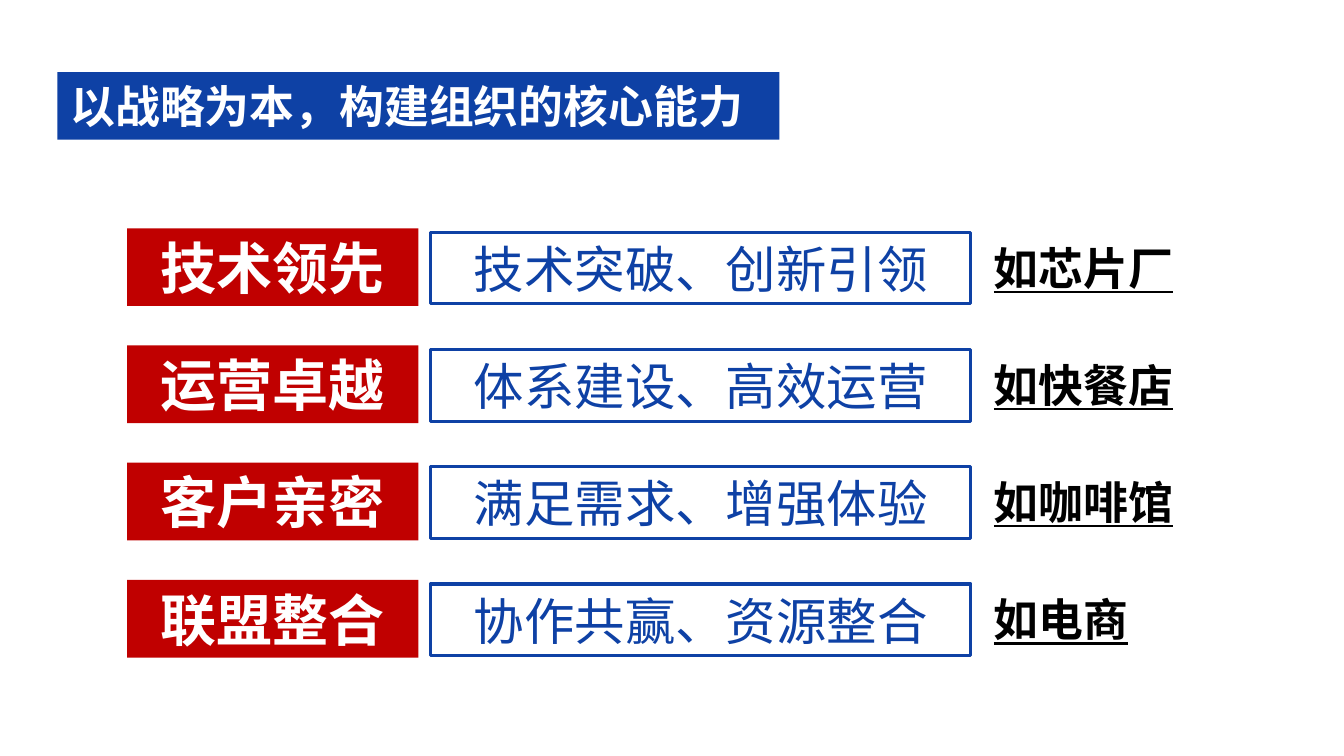
"""Build a slide on four strategic ways to core organisational strength."""
from pptx import Presentation
from pptx.dml.color import RGBColor
from pptx.enum.shapes import MSO_SHAPE
from pptx.enum.text import MSO_ANCHOR, PP_ALIGN
from pptx.util import Inches, Pt

TITLE = "以战略为本，构建组织的核心能力"
ROWS = [
    ("技术领先", "技术突破、创新引领", "如芯片厂"),
    ("运营卓越", "体系建设、高效运营", "如快餐店"),
    ("客户亲密", "满足需求、增强体验", "如咖啡馆"),
    ("联盟整合", "协作共赢、资源整合", "如电商"),
]
HUES = {"blue": "0E41A5", "red": "C00000", "white": "FFFFFF", "black": "000000"}
FONT = "Noto Sans CJK SC"
MID, STEP = 2.65, 1.163
COLS = [
    dict(left=1.26, width=2.89, high=0.77, size=40, hue="white", fill="red", bold=True),
    dict(left=4.27, width=5.36, high=0.71, size=36, hue="blue", line="blue", drop=0.01),
    dict(left=9.76, width=2.28, high=0.64, size=32, hue="black", bold=True,
         under=True, align=PP_ALIGN.LEFT),
]


def tint(name):
    return RGBColor.from_string(HUES[name])


def add_box(slide, text, left, mid, width, high, size, hue, fill=None, line=None,
            bold=False, under=False, align=PP_ALIGN.CENTER, drop=0, pad=0.1, wrap=True):
    place = [Inches(n) for n in (left, mid + drop - high / 2, width, high)]
    if fill or line:
        box = slide.shapes.add_shape(MSO_SHAPE.RECTANGLE, *place)
        box.shadow.inherit = False
        if fill:
            box.fill.solid()
            box.fill.fore_color.rgb = tint(fill)
        else:
            box.fill.background()
        if line:
            box.line.color.rgb = tint(line)
            box.line.width = Pt(2.25)
        else:
            box.line.fill.background()
    else:
        box = slide.shapes.add_textbox(*place)
    frame = box.text_frame
    frame.word_wrap = wrap
    frame.vertical_anchor = MSO_ANCHOR.MIDDLE
    frame.margin_left = frame.margin_right = Inches(pad)
    par = frame.paragraphs[0]
    par.text = text
    par.alignment = align
    font = par.font
    font.name, font.size, font.bold = FONT, Pt(size), bold
    font.color.rgb = tint(hue)
    font.underline = under
    for run in par.runs:
        east = run._r.get_or_add_rPr().makeelement(
            "{http://schemas.openxmlformats.org/drawingml/2006/main}ea", {"typeface": FONT})
        run._r.get_or_add_rPr().append(east)


def main():
    deck = Presentation()
    deck.slide_width, deck.slide_height = Inches(13.33), Inches(7.5)
    slide = deck.slides.add_slide(deck.slide_layouts[6])
    add_box(slide, TITLE, 0.57, 1.05, 7.16, 0.67, 32, "white", fill="blue",
            bold=True, align=PP_ALIGN.LEFT, pad=0.13, wrap=False)
    for col, style in enumerate(COLS):
        for row, texts in enumerate(ROWS):
            add_box(slide, texts[col], mid=MID + row * STEP, **style)
    deck.save("out.pptx")


if __name__ == "__main__":
    main()
